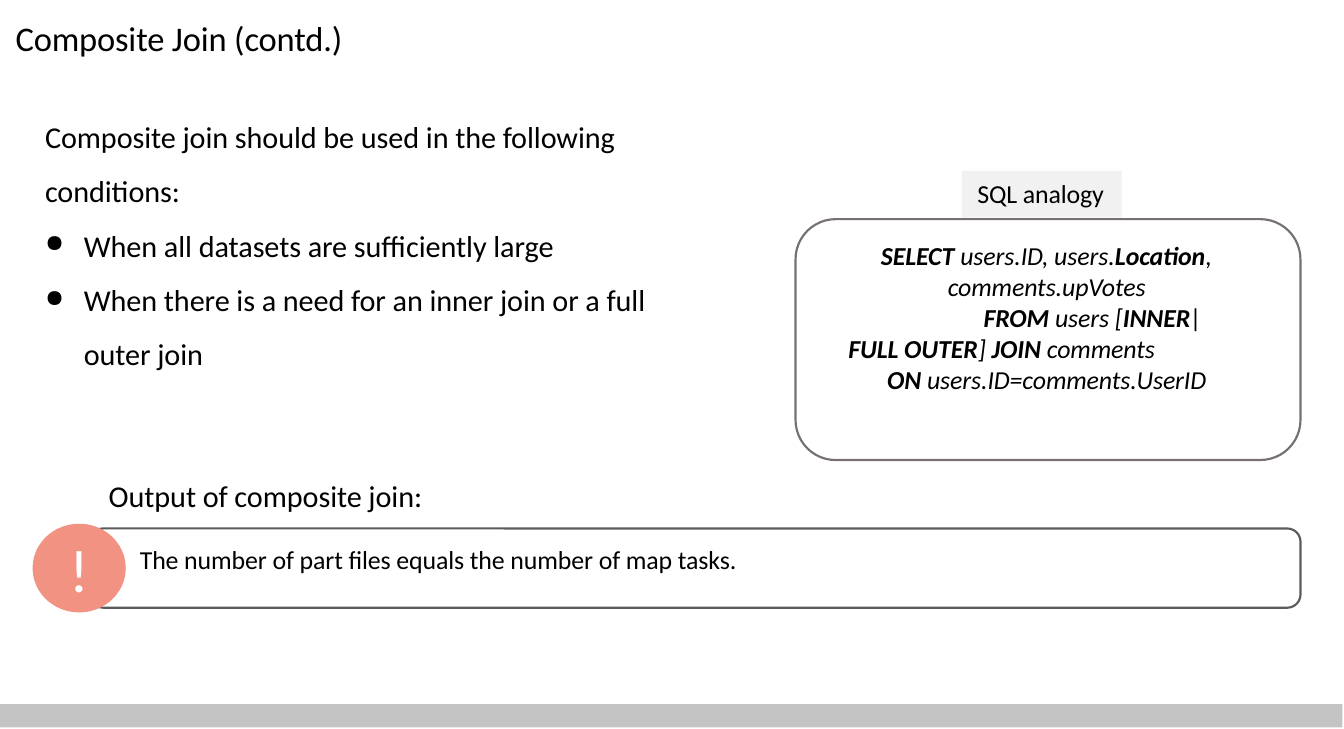
from pptx import Presentation
from pptx.dml.color import RGBColor
from pptx.enum.shapes import MSO_SHAPE as Shape
from pptx.enum.text import MSO_ANCHOR as Anchor, MSO_AUTO_SIZE as Auto, PP_ALIGN as Align
from pptx.oxml.ns import qn
from pptx.util import Inches, Pt
from lxml.etree import SubElement as Sub


def color(code):
    return RGBColor.from_string(code)


def indent(para, left, first=0):
    props = para._p.get_or_add_pPr()
    props.set("marL", str(Inches(left)))
    props.set("indent", str(Inches(first)))
    return props


def bullet(para):
    props = indent(para, 0.26, -0.25)
    Sub(props, qn("a:buSzPct"), val="79000")
    Sub(props, qn("a:buChar"), char="●")


def style(run, size, code="000000"):
    font = run.font
    font.name = "Calibri"
    font.size = Pt(size)
    font.color.rgb = color(code)
    run._r.get_or_add_rPr().set("spc", "-5")


def setup(frame, top=0):
    frame.margin_left = frame.margin_right = frame.margin_bottom = 0
    frame.margin_top = Inches(top)
    frame.word_wrap = True
    frame.auto_size = Auto.NONE
    frame.vertical_anchor = Anchor.TOP


def write(frame, text, size, code="000000", left=0.01):
    frame.text = text
    for para in frame.paragraphs:
        para.alignment = Align.LEFT
        indent(para, left)
        for run in para.runs:
            style(run, size, code)


def label(slide, box, text, size):
    frame = slide.shapes.add_textbox(*map(Inches, box)).text_frame
    setup(frame)
    write(frame, text, size)
    return frame


def panel(slide, kind, box, fill=None, line=None):
    shape = slide.shapes.add_shape(kind, *map(Inches, box))
    shape.shadow.inherit = False
    if fill:
        shape.fill.solid()
        shape.fill.fore_color.rgb = color(fill)
    else:
        shape.fill.background()
    if line:
        shape.line.color.rgb = color(line)
        shape.line.width = Pt(1)
    else:
        shape.line.fill.background()
    setup(shape.text_frame)
    return shape


def head(slide, text):
    title = slide.shapes.title
    title.left, title.top, title.width, title.height = map(Inches, (0.09, 0.11, 8.48, 0.29))
    setup(title.text_frame)
    write(title.text_frame, text, 16)


def points(slide):
    frame = label(slide, (0.28, 0.76, 3.92, 1.66), "\n".join([
        "Composite join should be used in the following",
        "conditions:",
        "When all datasets are sufficiently large",
        "When there is a need for an inner join or a full outer join",
    ]), 14)
    paras = frame.paragraphs
    for para in paras[1:3]:
        para.space_before = Pt(8.4)
    paras[3].line_spacing = 1.5
    for para in paras[2:]:
        bullet(para)


def query(slide):
    lines = [
        (0.65, -0.43, "*SELECT *users.ID, users.*Location*, comments.upVotes"),
        (0.01, 0.87, "*FROM *users [*INNER*|\n*FULL OUTER*] *JOIN *comments"),
        (0.26, 0, "*ON *users.ID=comments.UserID"),
    ]
    frame = label(slide, (5.45, 1.54, 2.59, 1.02), "\n" * (len(lines) - 1), 12)
    for para, (left, first, text) in zip(frame.paragraphs, lines):
        indent(para, left, first)
        for row, part in enumerate(text.split("\n")):
            if row:
                para.add_line_break()
            for spot, word in enumerate(part.split("*")):
                if word:
                    run = para.add_run()
                    run.text = word
                    style(run, 12)
                    run.font.bold = spot % 2 == 1
                    run.font.italic = True


def main():
    deck = Presentation()
    deck.slide_width = Inches(8.65)
    deck.slide_height = Inches(4.69)
    slide = deck.slides.add_slide(deck.slide_layouts[5])

    panel(slide, Shape.RECTANGLE, (0, 4.53, 8.64, 0.15), fill="C4C4C4")
    head(slide, "Composite Join (contd.)")
    points(slide)

    panel(slide, Shape.ROUNDED_RECTANGLE, (0.58, 3.4, 7.79, 0.51), line="5B5B5B")
    badge = panel(slide, Shape.OVAL, (0.21, 3.37, 0.6, 0.57), fill="F19282").text_frame
    write(badge, "!", 28, "FFFFFF", 0)
    badge.vertical_anchor = Anchor.MIDDLE
    badge.paragraphs[0].alignment = Align.CENTER
    label(slide, (0.89, 3.5, 5, 0.22), "The number of part files equals the number of map tasks.", 12)
    label(slide, (0.69, 3.07, 2.5, 0.26), "Output of composite join:", 14)

    tab = panel(slide, Shape.RECTANGLE, (6.19, 1.1, 1.03, 0.3), fill="F1F1F1").text_frame
    setup(tab, 0.04)
    write(tab, "SQL analogy", 12, left=0.1)
    panel(slide, Shape.ROUNDED_RECTANGLE, (5.12, 1.41, 3.25, 1.55), line="767070")
    query(slide)
    deck.save("out.pptx")


if __name__ == "__main__":
    main()
